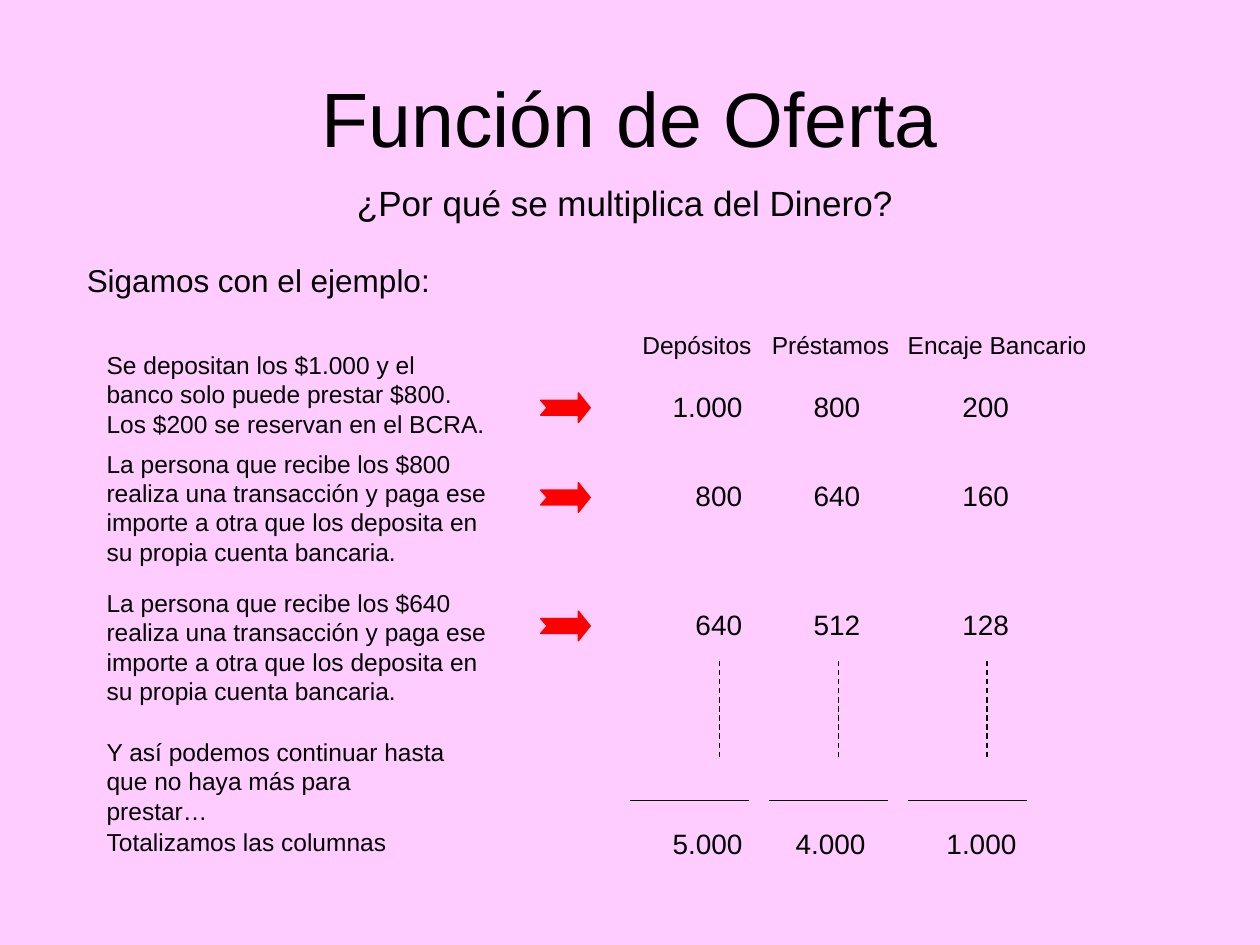
from lxml.etree import SubElement
from pptx import Presentation
from pptx.dml.color import RGBColor
from pptx.enum.dml import MSO_LINE
from pptx.enum.shapes import MSO_CONNECTOR
from pptx.enum.text import MSO_ANCHOR, PP_ALIGN
from pptx.oxml.ns import qn
from pptx.util import Cm, Pt

COLORS = {"background": "FFCCFF", "ink": "000000", "arrow": "FF0000"}

deck = Presentation()
deck.slide_width, deck.slide_height = Cm(25.4), Cm(19.05)
page = deck.slides.add_slide(deck.slide_layouts[6])
page.background.fill.solid()
page.background.fill.fore_color.rgb = RGBColor.from_string(COLORS["background"])


def add_text(text, left, top, width, height, size, align=PP_ALIGN.LEFT, tabs=(), tab_kind="r"):
    """Add a one-paragraph text box; tabs are stops in cm from the text's left edge."""
    box = page.shapes.add_textbox(Cm(left), Cm(top), Cm(width), Cm(height))
    box.text_frame.word_wrap = True
    para = box.text_frame.paragraphs[0]
    para.text = text
    para.alignment = align
    span = para.runs[0]
    span.font.name = "Arial"
    span.font.size = Pt(size)
    span.font.color.rgb = RGBColor.from_string(COLORS["ink"])
    if tabs:
        tab_list = SubElement(para._p.get_or_add_pPr(), qn("a:tabLst"))
        for stop in tabs:
            SubElement(tab_list, qn("a:tab"), pos=str(Cm(stop)), algn=tab_kind)
    return box


def add_line(x1, y1, x2, y2, dash=None):
    line = page.shapes.add_connector(MSO_CONNECTOR.STRAIGHT, Cm(x1), Cm(y1), Cm(x2), Cm(y2))
    line.line.color.rgb = RGBColor.from_string(COLORS["ink"])
    line.line.width = Pt(0.75)
    if dash:
        line.line.dash_style = dash
    SubElement(line._element.spPr, qn("a:effectLst"))


# Headings
title = add_text("Función de Oferta", 1.27, 0.76, 22.86, 3.18, 44, PP_ALIGN.CENTER)
title.text_frame.vertical_anchor = MSO_ANCHOR.MIDDLE
add_text("¿Por qué se multiplica del Dinero?", 1.3, 3.53, 22.6, 1.12, 20, PP_ALIGN.CENTER)
add_text("Sigamos con el ejemplo:", 1.5, 5.13, 17.8, 1.02, 18)

# Explanations: text, top, width, height
transaction = ("La persona que recibe los {} realiza una transacción y paga ese importe "
               "a otra que los deposita en su propia cuenta bancaria.")
explanations = [
    ("Se depositan los $1.000 y el banco solo puede prestar $800. "
     "Los $200 se reservan en el BCRA.", 6.93, 8.2, 2.03),
    (transaction.format("$800"), 8.92, 8.2, 2.64),
    (transaction.format("$640"), 11.73, 8.2, 2.64),
    ("Y así podemos continuar hasta que no haya más para prestar…", 14.73, 7.6, 2.03),
    ("Totalizamos las columnas", 16.54, 7.8, 0.86),
]
for text, top, width, height in explanations:
    add_text(text, 1.9, top, width, height, 14)

# Columns of figures
add_text("Depósitos\tPréstamos\tEncaje Bancario", 12.7, 6.53, 10, 0.86, 14,
         tabs=(2.61, 5.35), tab_kind="l")
figure_stops, total_stops = (1.4, 3.78, 6.78), (1.4, 3.89, 6.93)
figure_rows = [
    (7.72, ("1.000", "800", "200"), figure_stops),
    (9.53, ("800", "640", "160"), figure_stops),
    (12.12, ("640", "512", "128"), figure_stops),
    (16.54, ("5.000", "4.000", "1.000"), total_stops),
]
for top, figures, stops in figure_rows:
    add_text("\t" + "\t".join(figures), 13.31, top, 8.61, 0.94, 16, tabs=stops)

# Notched arrows beside every row but the totals
arrow_outline = [(0, 0.15), (0.76, 0.15), (0.76, 0), (1, 0.3),
                 (0.76, 0.6), (0.76, 0.45), (0, 0.45), (0.13, 0.3)]
for top, _, _ in figure_rows[:-1]:
    points = [(Cm(10.9 + x), Cm(top + 0.2 + y)) for x, y in arrow_outline]
    builder = page.shapes.build_freeform(*points[0])
    builder.add_line_segments(points[1:], close=True)
    arrow = builder.convert_to_shape()
    arrow.shadow.inherit = False
    arrow.fill.solid()
    arrow.fill.fore_color.rgb = RGBColor.from_string(COLORS["arrow"])
    arrow.line.color.rgb = RGBColor.from_string(COLORS["arrow"])
    arrow.line.width = Pt(0.75)

# Dashed continuation lines and the rules above the totals
for x in (14.5, 16.9, 19.9):
    add_line(x, 13.33, x, 15.32, MSO_LINE.DASH)
for column in range(3):
    left = 12.7 + 2.8 * column
    add_line(left, 16.13, left + 2.4, 16.13)

deck.save("out.pptx")
